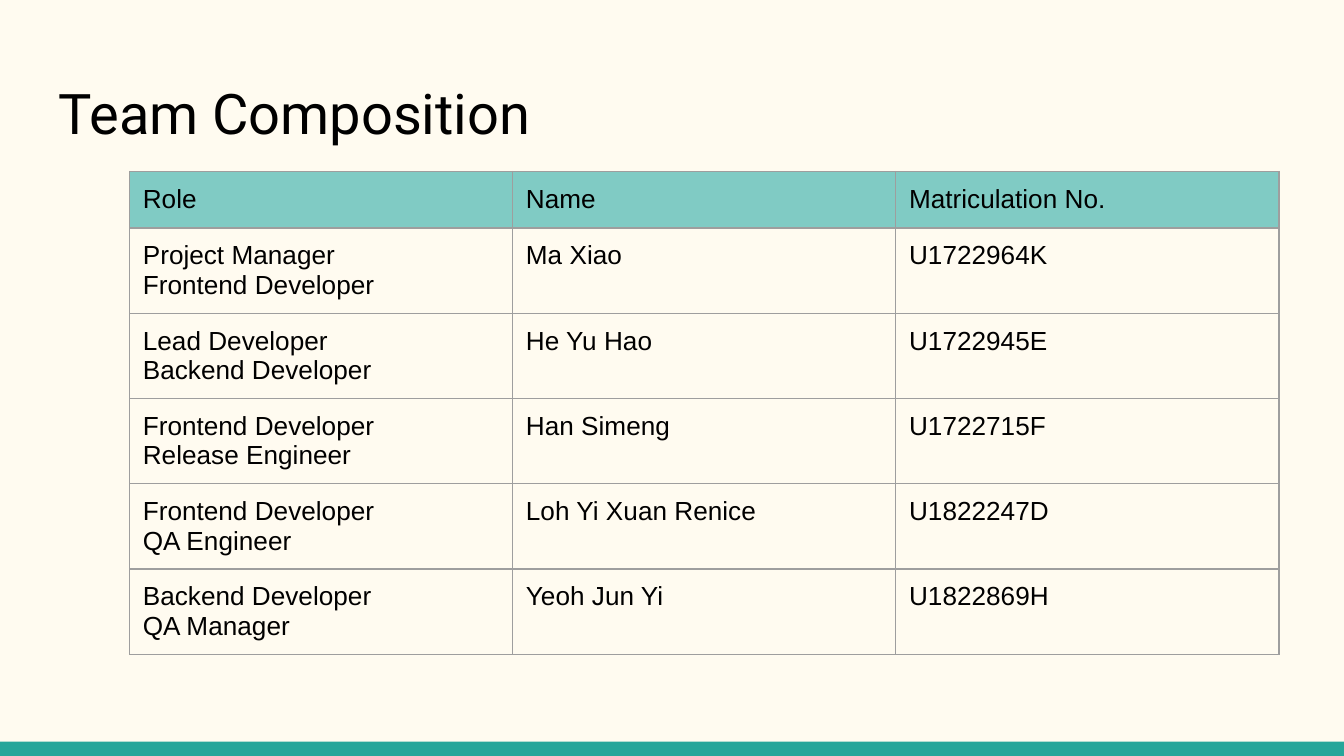
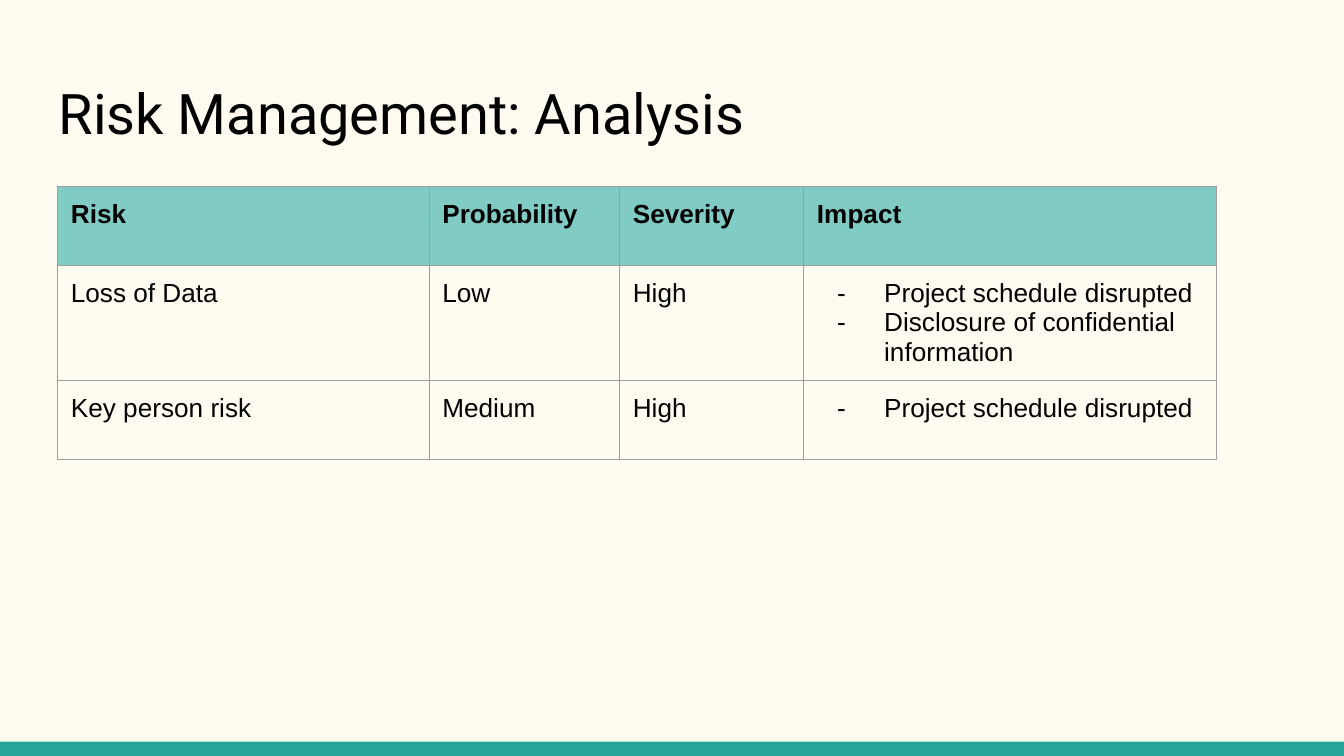
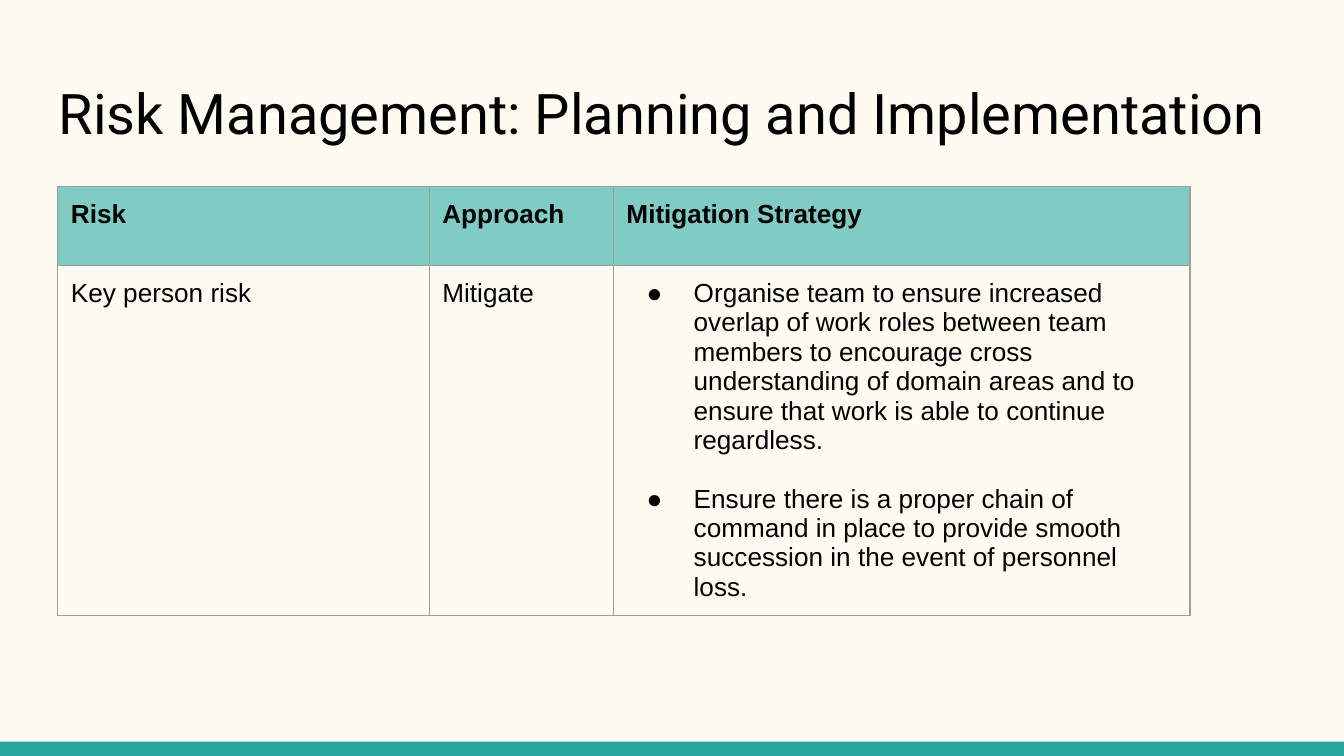
from dataclasses import dataclass

from lxml import etree
from pptx import Presentation
from pptx.dml.color import RGBColor
from pptx.enum.shapes import MSO_SHAPE
from pptx.enum.text import MSO_ANCHOR, MSO_AUTO_SIZE, PP_ALIGN
from pptx.oxml.ns import qn
from pptx.util import Cm, Pt

RECTANGLE = MSO_SHAPE.RECTANGLE
LEFT = PP_ALIGN.LEFT
TOP = MSO_ANCHOR.TOP
NO_AUTOFIT = MSO_AUTO_SIZE.NONE
TITLE_ONLY = 5


@dataclass(frozen=True)
class Theme:
    background: str = "FFFBF0"
    band: str = "26A69A"
    header: str = "80CBC4"
    border: str = "9E9E9E"
    text: str = "000000"
    title_font: str = "Roboto"
    body_font: str = "Arial"
    title_size: int = 30
    body_size: int = 14
    border_width: float = 0.75
    width: float = 25.4
    height: float = 14.29
    band_height: float = 0.27
    inset: float = 0.25
    bullet_indent: float = 1.27
    bullet_hang: float = 0.89


THEME = Theme()


@dataclass(frozen=True)
class Bullets:
    mark: str
    items: tuple
    gap: float = 0


def rgb(colour):
    return RGBColor.from_string(colour)


def style_master(prs):
    """Give the master the background and the bottom band that all slides share."""
    master = prs.slide_master
    master.background.fill.solid()
    master.background.fill.fore_color.rgb = rgb(THEME.background)


def add_band(slide):
    band = slide.shapes.add_shape(
        RECTANGLE, 0, Cm(THEME.height - THEME.band_height),
        Cm(THEME.width), Cm(THEME.band_height))
    band.shadow.inherit = False
    band.fill.solid()
    band.fill.fore_color.rgb = rgb(THEME.band)
    band.line.fill.background()


def add_run(paragraph, text, font, size, bold=False):
    run = paragraph.add_run()
    run.text = text
    run.font.name = font
    run.font.size = Pt(size)
    run.font.bold = bold
    run.font.color.rgb = rgb(THEME.text)


def set_insets(target):
    target.margin_left = target.margin_right = Cm(THEME.inset)
    target.margin_top = target.margin_bottom = Cm(THEME.inset)


def add_titled_slide(prs, heading):
    slide = prs.slides.add_slide(prs.slide_layouts[TITLE_ONLY])
    add_band(slide)
    title = slide.shapes.title
    title.left, title.top = Cm(0.86), Cm(1.24)
    title.width, title.height = Cm(23.67), Cm(1.7)
    frame = title.text_frame
    set_insets(frame)
    frame.word_wrap = True
    frame.auto_size = NO_AUTOFIT
    frame.vertical_anchor = TOP
    paragraph = frame.paragraphs[0]
    paragraph.alignment = LEFT
    add_run(paragraph, heading, THEME.title_font, THEME.title_size)
    return slide


def add_solid_fill(parent, tag, colour):
    holder = etree.SubElement(parent, qn(tag))
    etree.SubElement(holder, qn("a:srgbClr"), val=colour)


def set_borders(cell):
    properties = cell._tc.get_or_add_tcPr()
    for position, side in enumerate(("a:lnL", "a:lnR", "a:lnT", "a:lnB")):
        line = etree.Element(qn(side), w=str(Pt(THEME.border_width)))
        add_solid_fill(line, "a:solidFill", THEME.border)
        properties.insert(position, line)


def set_bullet(paragraph, mark):
    properties = paragraph._p.get_or_add_pPr()
    properties.set("marL", str(Cm(THEME.bullet_indent)))
    properties.set("indent", str(-Cm(THEME.bullet_hang)))
    add_solid_fill(properties, "a:buClr", THEME.text)
    etree.SubElement(properties, qn("a:buFont"), typeface=THEME.body_font)
    etree.SubElement(properties, qn("a:buChar"), char=mark)


def fill_cell(cell, content, bold):
    """Write a string, a tuple of lines or a Bullets list into the cell."""
    bullets = content if isinstance(content, Bullets) else None
    lines = bullets.items if bullets else content
    if isinstance(lines, str):
        lines = (lines,)
    frame = cell.text_frame
    for index, line in enumerate(lines):
        paragraph = frame.add_paragraph() if index else frame.paragraphs[0]
        if bullets:
            if index and bullets.gap:
                paragraph.space_before = Pt(bullets.gap)
            set_bullet(paragraph, bullets.mark)
        add_run(paragraph, line, THEME.body_font, THEME.body_size, bold)


def add_grid(slide, left, top, widths, heights, rows, bold_header=True):
    """Add a bordered table, lengths in cm, whose first row is the header."""
    table = slide.shapes.add_table(
        len(rows), len(widths), Cm(left), Cm(top),
        Cm(sum(widths)), Cm(sum(heights))).table
    table.first_row = table.horz_banding = False
    for column, width in zip(table.columns, widths):
        column.width = Cm(width)
    for row, height in zip(table.rows, heights):
        row.height = Cm(height)
    for row_index, contents in enumerate(rows):
        is_header = row_index == 0
        for column_index, content in enumerate(contents):
            cell = table.cell(row_index, column_index)
            set_insets(cell)
            cell.vertical_anchor = TOP
            if is_header:
                cell.fill.solid()
                cell.fill.fore_color.rgb = rgb(THEME.header)
            else:
                cell.fill.background()
            set_borders(cell)
            fill_cell(cell, content, is_header and bold_header)


def add_team_slide(prs):
    members = [
        ("Role", "Name", "Matriculation No."),
        (("Project Manager", "Frontend Developer"), "Ma Xiao", "U1722964K"),
        (("Lead Developer", "Backend Developer"), "He Yu Hao", "U1722945E"),
        (("Frontend Developer", "Release Engineer"), "Han Simeng", "U1722715F"),
        (("Frontend Developer", "QA Engineer"), "Loh Yi Xuan Renice", "U1822247D"),
        (("Backend Developer", "QA Manager"), "Yeoh Jun Yi", "U1822869H"),
    ]
    slide = add_titled_slide(prs, "Team Composition")
    add_grid(slide, 2.45, 3.24, [7.24] * 3, [1.07] * len(members), members,
             bold_header=False)


def add_risk_analysis_slide(prs):
    delay = "Project schedule disrupted"
    risks = [
        ("Risk", "Probability", "Severity", "Impact"),
        ("Loss of Data", "Low", "High",
         Bullets("-", (delay, "Disclosure of confidential information"))),
        ("Key person risk", "Medium", "High", Bullets("-", (delay,))),
    ]
    slide = add_titled_slide(prs, "Risk Management: Analysis")
    add_grid(slide, 1.09, 3.52, [7.02, 3.6, 3.48, 7.8], [1.5] * len(risks), risks)


def add_risk_planning_slide(prs):
    strategies = (
        "Organise team to ensure increased overlap of work roles between team "
        "members to encourage cross understanding of domain areas and to ensure "
        "that work is able to continue regardless.",
        "Ensure there is a proper chain of command in place to provide smooth "
        "succession in the event of personnel loss.",
    )
    plan = [
        ("Risk", "Approach", "Mitigation Strategy"),
        ("Key person risk", "Mitigate", Bullets("●", strategies, gap=15.75)),
    ]
    slide = add_titled_slide(prs, "Risk Management: Planning and Implementation")
    add_grid(slide, 1.09, 3.52, [7.02, 3.48, 10.9], [1.5, 5.84], plan)


def main():
    prs = Presentation()
    prs.slide_width, prs.slide_height = Cm(THEME.width), Cm(THEME.height)
    style_master(prs)
    add_team_slide(prs)
    add_risk_analysis_slide(prs)
    add_risk_planning_slide(prs)
    prs.save("out.pptx")


if __name__ == "__main__":
    main()
